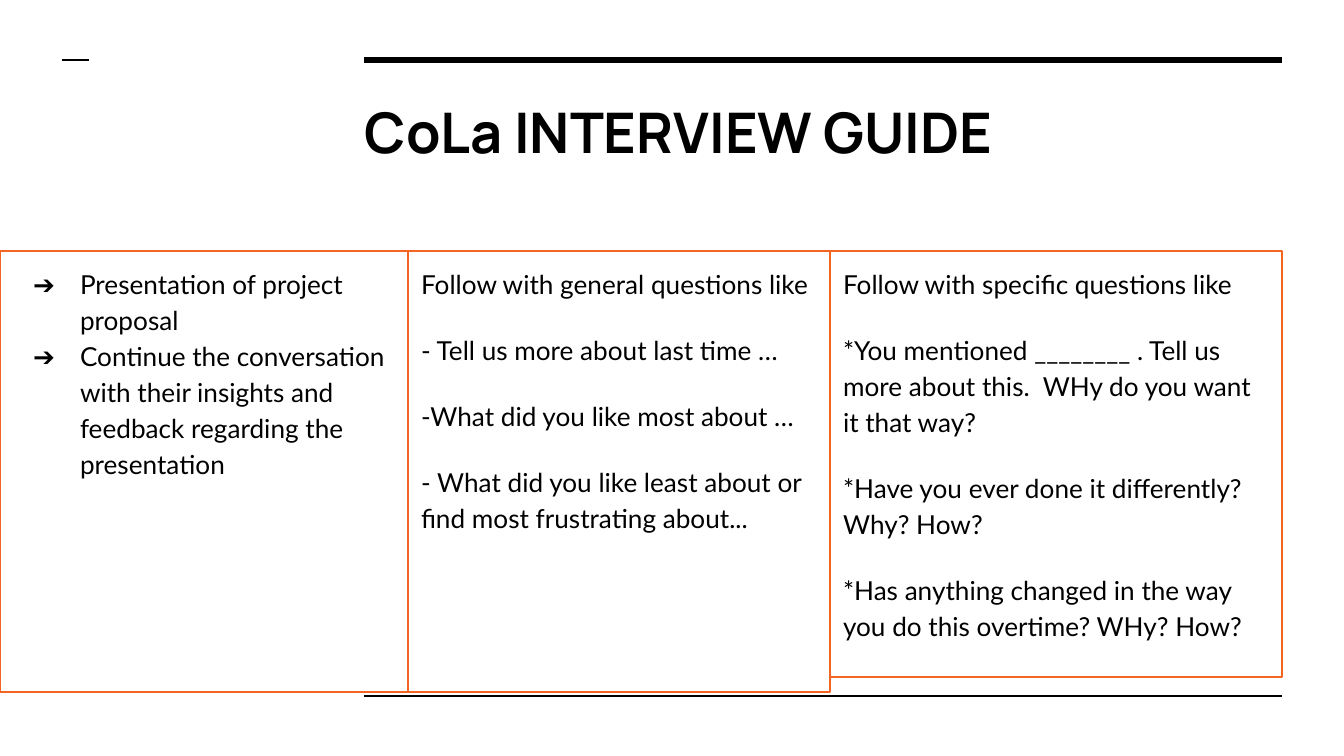
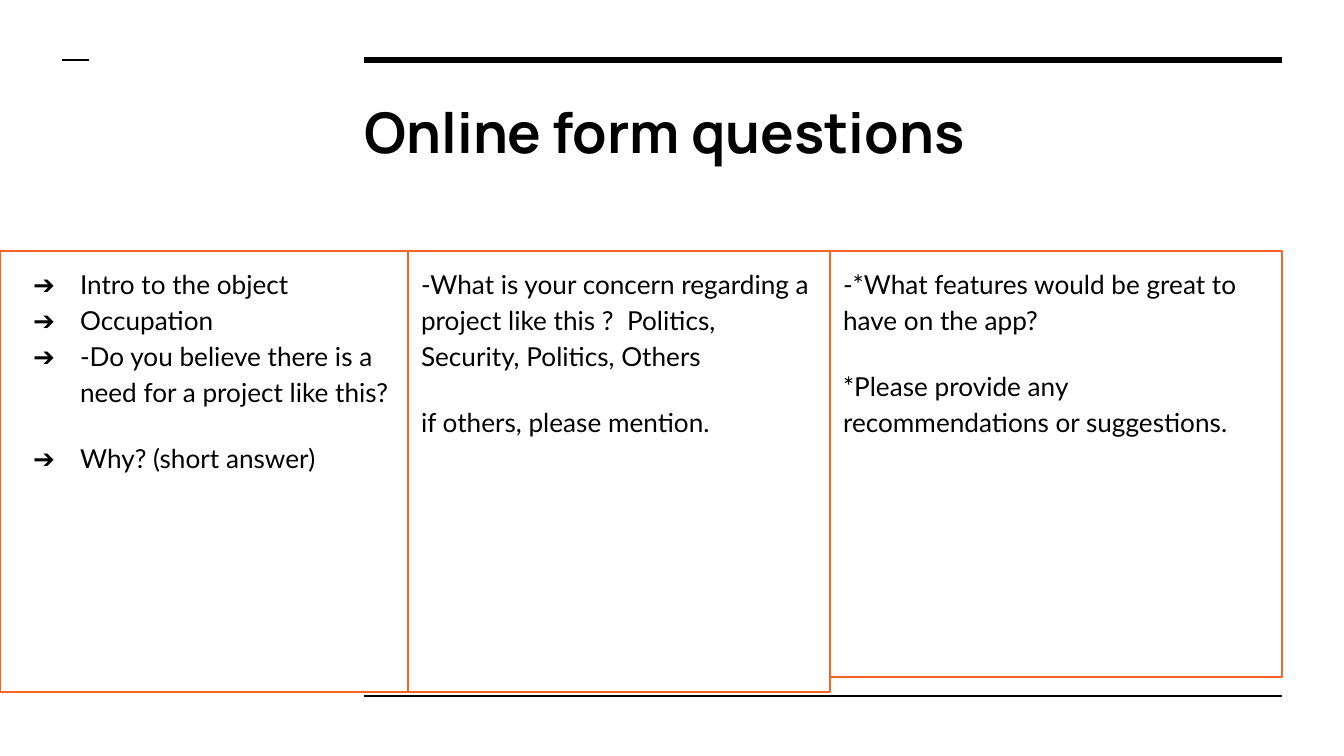
from lxml import etree
from pptx import Presentation
from pptx.dml.color import RGBColor
from pptx.enum.shapes import MSO_CONNECTOR
from pptx.enum.text import MSO_ANCHOR, MSO_AUTO_SIZE, PP_ALIGN
from pptx.oxml.ns import qn
from pptx.util import Emu, Pt

STRAIGHT = MSO_CONNECTOR.STRAIGHT
TOP, MIDDLE = MSO_ANCHOR.TOP, MSO_ANCHOR.MIDDLE
NO_FIT = MSO_AUTO_SIZE.NONE
LEFT = PP_ALIGN.LEFT

# Shared look
BLACK = RGBColor(0x00, 0x00, 0x00)
WHITE = RGBColor(0xFF, 0xFF, 0xFF)
ORANGE = RGBColor(0xF4, 0x65, 0x24)
TITLE_FONT, BODY_FONT = "Manrope", "Lato"
PX = 914400 / 134.4
INSET = 13
GAP = 16
COMPARISON_LAYOUT = 4

# Rules: left, right, y, weight in points
RULES = [(364, 1282, 60, 3), (364, 1282, 696, 1.5), (62, 89, 60, 1.5)]

# Columns: placeholder index, left, width, height
COLUMN_TOP = 251
STEPS_COLUMN = (1, 0, 408, 441)
SPECIFIC_COLUMN = (2, 830, 452, 426)
GENERAL_COLUMN = (3, 408, 422, 441)
SPARE_PLACEHOLDER = 4


def px(length):
    return Emu(round(length * PX))


def place(box, left, top, width, height, anchor):
    box.left, box.top = px(left), px(top)
    box.width, box.height = px(width), px(height)
    frame = box.text_frame
    frame.auto_size = NO_FIT
    frame.word_wrap = True
    frame.vertical_anchor = anchor
    frame.margin_left = frame.margin_right = px(INSET)
    frame.margin_top = frame.margin_bottom = px(INSET)
    return frame


def write(para, text, font=BODY_FONT, size=14, bold=False, spacing=1.0, before=0):
    para.alignment = LEFT
    para.line_spacing = spacing
    para.space_before = Pt(before)
    para.space_after = Pt(0)
    span = para.add_run()
    span.text = text
    span.font.name = font
    span.font.size = Pt(size)
    span.font.bold = bold
    span.font.color.rgb = BLACK


def set_bullet(para, bullet):
    """Give the paragraph an arrow bullet, or none at all."""
    props = para._p.get_or_add_pPr()
    props.set("marL", str(px(67 if bullet else 0)))
    props.set("indent", str(px(-47 if bullet else 0)))
    if not bullet:
        etree.SubElement(props, qn("a:buNone"))
        return
    colour = etree.SubElement(props, qn("a:buClr"))
    etree.SubElement(colour, qn("a:srgbClr"), val=str(BLACK))
    etree.SubElement(props, qn("a:buFont"), typeface=BODY_FONT)
    etree.SubElement(props, qn("a:buChar"), char=bullet)


def add_rule(page, left, right, y, weight):
    rule = page.shapes.add_connector(STRAIGHT, px(left), px(y), px(right), px(y))
    rule.line.color.rgb = BLACK
    rule.line.width = Pt(weight)
    etree.SubElement(rule._element.spPr, qn("a:effectLst"))


def fill_column(page, column, items, bullet=None):
    """Fill one outlined column with (text, space before) items."""
    index, left, width, height = column
    box = page.placeholders[index]
    frame = place(box, left, COLUMN_TOP, width, height, TOP)
    box.line.color.rgb = ORANGE
    box.line.width = Pt(0.75)
    for number, (text, before) in enumerate(items):
        para = frame.add_paragraph() if number else frame.paragraphs[0]
        write(para, text, spacing=1.15, before=before)
        set_bullet(para, bullet)


def spaced(*texts):
    return [(text, GAP if number else 0) for number, text in enumerate(texts)]


def add_page(deck, title, steps, general, specific):
    page = deck.slides.add_slide(deck.slide_layouts[COMPARISON_LAYOUT])
    page.background.fill.solid()
    page.background.fill.fore_color.rgb = WHITE
    spare = page.placeholders[SPARE_PLACEHOLDER]._element
    spare.getparent().remove(spare)

    for rule in RULES:
        add_rule(page, *rule)
    frame = place(page.shapes.title, 352, 85, 929, 93, MIDDLE)
    write(frame.paragraphs[0], title, font=TITLE_FONT, size=30, bold=True)
    fill_column(page, STEPS_COLUMN, steps, bullet="➔")
    fill_column(page, SPECIFIC_COLUMN, specific)
    fill_column(page, GENERAL_COLUMN, general)


def main():
    deck = Presentation()
    deck.slide_width, deck.slide_height = px(1344), px(756)

    # Interview guide
    add_page(
        deck,
        "CoLa INTERVIEW GUIDE",
        steps=[
            ("Presentation of project proposal", 0),
            ("Continue the conversation with their insights and feedback "
             "regarding the presentation", 0),
        ],
        general=spaced(
            "Follow with general questions like",
            "- Tell us more about last time …",
            "-What did you like most about …",
            "- What did you like least about or find most frustrating about...",
        ),
        specific=spaced(
            "Follow with specific questions like",
            "*You mentioned ________ . Tell us more about this.  "
            "WHy do you want it that way?",
            "*Have you ever done it differently? Why? How?",
            "*Has anything changed in the way you do this overtime? WHy? How?",
        ),
    )

    # Form questions
    add_page(
        deck,
        "Online form questions",
        steps=[
            ("Intro to the object", 0),
            ("Occupation", 0),
            ("-Do you believe there is a need for a project like this?", 0),
            ("Why? (short answer)", GAP),
        ],
        general=spaced(
            "-What is your concern regarding a project like this ?  "
            "Politics, Security, Politics, Others",
            "if others, please mention.",
        ),
        specific=spaced(
            "-*What features would be great to have on the app?",
            "*Please provide any recommendations or suggestions.",
        ),
    )

    deck.save("out.pptx")


if __name__ == "__main__":
    main()
